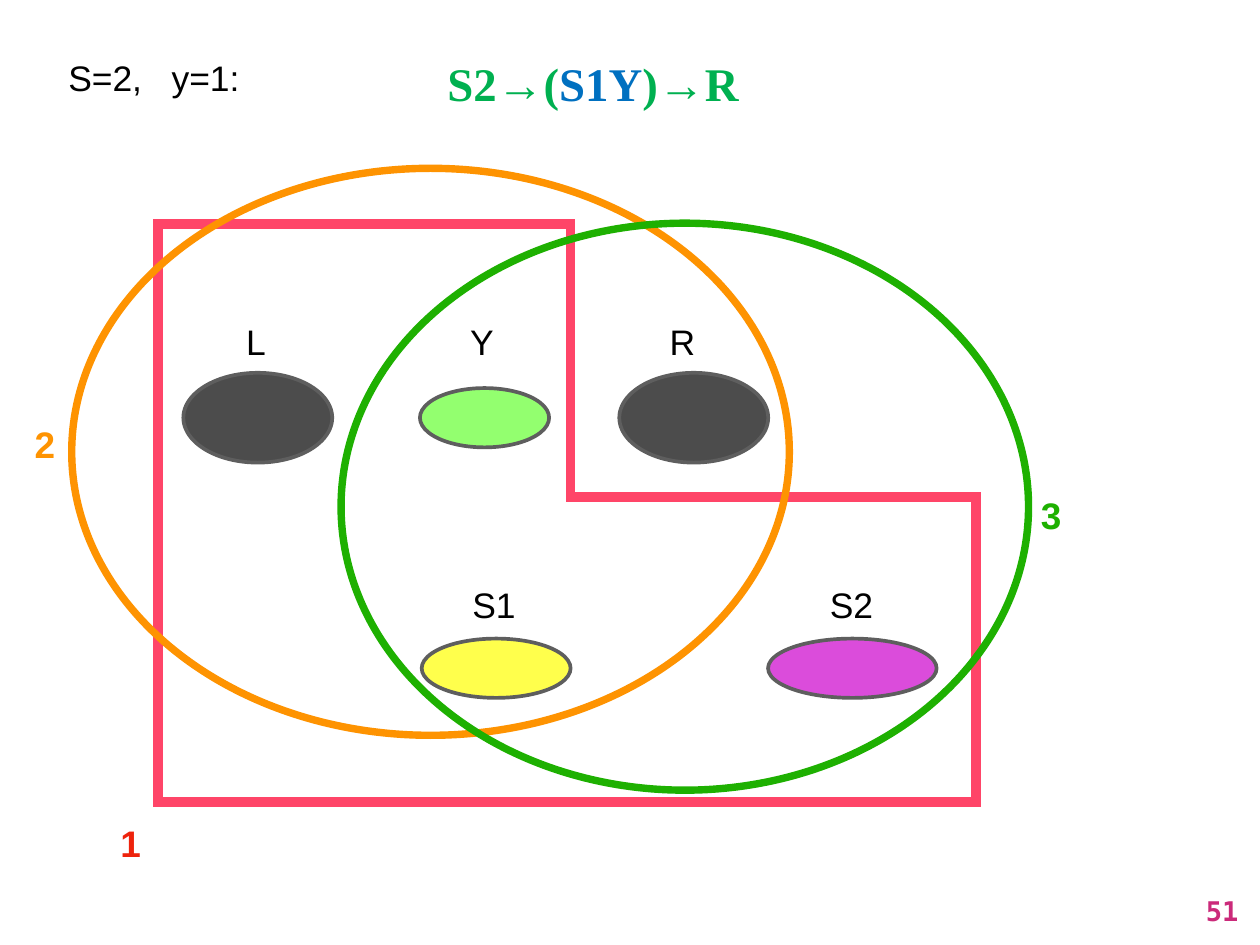
from dataclasses import dataclass
from itertools import pairwise

from lxml import etree
from pptx import Presentation
from pptx import util as u
from pptx.dml import color
from pptx.enum import shapes, text
from pptx.oxml import ns

Pt = u.Pt
HUES = {
    "black": "000000", "grey": "5E5E5E", "yellow": "FFFF00", "purple": "CC00CC",
    "lime": "66FF33", "leaf": "00B050", "blue": "0070C0", "rose": "FF4568",
    "red": "EE230C", "orange": "FE9301", "green": "1EB001", "pink": "CB2A7A",
}


@dataclass
class Run:
    words: str
    hue: str = "black"
    size: float = 28.8
    bold: bool = False
    font: str = "Arial"


@dataclass
class Note:
    run: Run
    left: float
    top: float
    width: float
    height: float
    inset: float = 0
    align: text.PP_ALIGN = text.PP_ALIGN.LEFT
    anchor: text.MSO_ANCHOR = text.MSO_ANCHOR.TOP
    lines: float = 1
    wrap: bool = False


@dataclass
class Oval:
    left: float
    top: float
    width: float
    height: float
    line: str = "grey"
    weight: float = 3
    fill: str = ""


@dataclass
class Node:
    name: str
    mid: float  # centre of the label
    top: float  # top of the label
    oval: Oval


def rgb(hue: str) -> color.RGBColor:
    return color.RGBColor.from_string(HUES[hue])


def set_text(shape, runs: list[Run], note: Note) -> None:
    frame = shape.text_frame
    frame.word_wrap = note.wrap
    frame.auto_size = text.MSO_AUTO_SIZE.NONE
    frame.vertical_anchor = note.anchor
    frame.margin_left = frame.margin_right = Pt(note.inset)
    frame.margin_top = frame.margin_bottom = Pt(note.inset)
    para = frame.paragraphs[0]
    para.alignment = note.align
    para.line_spacing = note.lines
    para.space_before = Pt(0)
    for item in runs:
        run = para.add_run()
        run.text = item.words
        run.font.name = item.font
        run.font.size = Pt(item.size)
        run.font.bold = item.bold
        run.font.color.rgb = rgb(item.hue)


def add_note(slide, note: Note):
    box = slide.shapes.add_textbox(
        Pt(note.left), Pt(note.top), Pt(note.width), Pt(note.height))
    set_text(box, [note.run], note)
    return box


def add_oval(slide, oval: Oval) -> None:
    shape = slide.shapes.add_shape(
        shapes.MSO_SHAPE.OVAL,
        Pt(oval.left), Pt(oval.top), Pt(oval.width), Pt(oval.height))
    shape.shadow.inherit = False
    shape.line.color.rgb = rgb(oval.line)
    shape.line.width = Pt(oval.weight)
    if not oval.fill:
        shape.fill.background()
        return
    shape.fill.solid()
    shape.fill.fore_color.rgb = rgb(oval.fill)
    tint = shape.element.spPr.find(ns.qn("a:solidFill"))[0]
    etree.SubElement(tint, ns.qn("a:alpha")).set("val", "70000")


def add_edge(slide, start: tuple[float, float], end: tuple[float, float]) -> None:
    edge = slide.shapes.add_connector(
        shapes.MSO_CONNECTOR.STRAIGHT, *map(Pt, start + end))
    edge.line.color.rgb = rgb("rose")
    edge.line.width = Pt(8)
    props = edge.element.spPr
    props.find(ns.qn("a:ln")).set("cap", "sq")
    etree.SubElement(props, ns.qn("a:effectLst"))


def add_head(slide) -> None:
    head = slide.shapes.title
    area = Note(Run(""), 358.6, 39.6, 248, 56, inset=5)
    head.left, head.top = Pt(area.left), Pt(area.top)
    head.width, head.height = Pt(area.width), Pt(area.height)
    serif = "Times New Roman"
    arrow = Run("→", "leaf", 38)
    set_text(head, [
        Run("S2", "leaf", 38, True, serif),
        arrow,
        Run("(", "leaf", 38, True, serif),
        Run("S1Y", "blue", 38, True, serif),
        Run(")", "leaf", 38, True, serif),
        arrow,
        Run("R", "leaf", 38, True, serif),
    ], area)


def add_case(slide) -> None:
    box = add_note(slide, Note(Run("S=2,\ty=1:"), 55.5, 45.2, 200, 34, wrap=True))
    props = box.text_frame.paragraphs[0]._p.get_or_add_pPr()
    tabs = etree.SubElement(props, ns.qn("a:tabLst"))
    stop = etree.SubElement(tabs, ns.qn("a:tab"))
    stop.set("pos", str(Pt(84)))
    stop.set("algn", "l")


def main() -> None:
    deck = Presentation()
    deck.slide_width, deck.slide_height = Pt(1024), Pt(768)
    slide = deck.slides.add_slide(deck.slide_layouts[5])

    # Formula, case and page number
    add_head(slide)
    add_case(slide)
    add_note(slide, Note(
        Run("51", "pink", 22, True, "DejaVu Sans Mono"), 975.6, 725.8, 35.3, 33.8,
        inset=4.3, align=text.PP_ALIGN.CENTER, lines=0.9))

    # Labelled nodes
    nodes = [
        Node("S1", 401.5, 474, Oval(342.7, 519, 121, 48.2, fill="yellow")),
        Node("S2", 692, 474, Oval(624.2, 519, 137, 48.2, fill="purple")),
        Node("L", 208, 260, Oval(149, 303, 121, 73, fill="black")),
        Node("R", 554.6, 260, Oval(503.3, 303, 121, 73, fill="black")),
        Node("Y", 391.7, 260, Oval(341.3, 315.4, 105, 48.2, fill="lime")),
    ]
    for node in nodes:
        add_oval(slide, node.oval)
        add_note(slide, Note(
            Run(node.name), node.mid - 30, node.top, 60, 34,
            align=text.PP_ALIGN.CENTER, wrap=True))

    # Group 1: closed frame
    left, mid, right = 128.2, 463.7, 793.4
    top, step, base = 182.2, 403.9, 651.6
    bends = [(left, top), (mid, top), (mid, step),
             (right, step), (right, base), (left, base)]
    for start, end in pairwise(bends + bends[:1]):
        add_edge(slide, start, end)

    # Groups 2 and 3: rings
    add_oval(slide, Oval(58.3, 136.8, 583.2, 460.8, "orange", 6))
    add_oval(slide, Oval(277.2, 181.4, 558.7, 460.8, "green", 6))

    # Group numbers
    for name, hue, x, y in [("1", "red", 93.6, 656), ("2", "orange", 23.8, 331.2),
                            ("3", "green", 841.7, 389.5)]:
        add_note(slide, Note(
            Run(name, hue, 30, True), x, y, 26, 44, inset=4.3,
            anchor=text.MSO_ANCHOR.MIDDLE, lines=1.4))

    deck.save("out.pptx")


if __name__ == "__main__":
    main()
